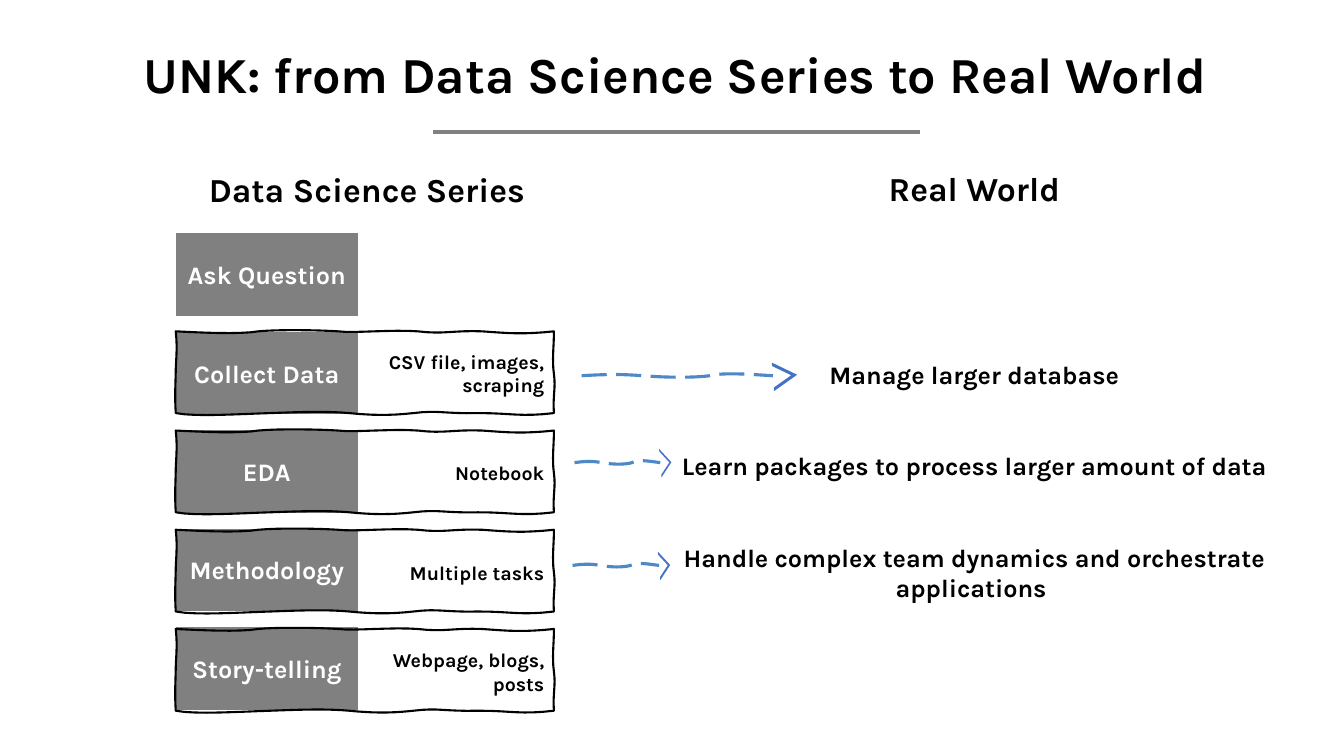
from dataclasses import dataclass

from lxml import etree
from pptx import Presentation
from pptx.dml.color import RGBColor as RGB
from pptx.enum.dml import MSO_LINE
from pptx.enum.shapes import MSO_CONNECTOR as CONN, MSO_SHAPE as SHAPE
from pptx.enum.text import MSO_ANCHOR as ANCHOR, PP_ALIGN as ALIGN
from pptx.oxml.ns import qn
from pptx.util import Cm, Pt


@dataclass(frozen=True)
class Theme:
    font: str = "Karla"
    ink: RGB = RGB(0x00, 0x00, 0x00)
    paper: RGB = RGB(0xFF, 0xFF, 0xFF)
    grey: RGB = RGB(0x80, 0x80, 0x80)
    dash: RGB = RGB(0x4E, 0x88, 0xC7)
    head: RGB = RGB(0x44, 0x72, 0xC4)
    title: int = 36
    heading: int = 24
    body: int = 18
    note: int = 14


T = Theme()


def write(tf, lines, size, align=ALIGN.CENTER, color=T.ink):
    tf.word_wrap = True
    for i, line in enumerate(lines):
        p = tf.paragraphs[0] if i == 0 else tf.add_paragraph()
        p.alignment = align
        r = p.add_run()
        r.text = line
        r.font.name, r.font.size, r.font.bold = T.font, Pt(size), True
        r.font.color.rgb = color


def add_outline(shapes, left, top, points, curved=True, closed=True):
    if curved:
        steps = 8
        smooth = [points[0]]
        for i in range(0, len(points) - 1, 3):
            a, b, c, d = points[i:i + 4]
            for n in range(1, steps + 1):
                t = n / steps
                u = 1 - t
                smooth.append(tuple(
                    u**3 * a[k] + 3 * u * u * t * b[k] + 3 * u * t * t * c[k] + t**3 * d[k]
                    for k in (0, 1)))
        points = smooth
    spots = [(Cm(left + x), Cm(top + y)) for x, y in points]
    fb = shapes.build_freeform(*spots[0])
    fb.add_line_segments(spots[1:], close=closed)
    sp = fb.convert_to_shape()
    sp.shadow.inherit = False
    return sp


prs = Presentation()
prs.slide_width, prs.slide_height = Cm(33.87), Cm(19.05)
s = prs.slides.add_slide(prs.slide_layouts[5])
shapes = s.shapes

title = shapes.title
title.left, title.top, title.width, title.height = Cm(3.23), Cm(1.12), Cm(27.89), Cm(1.8)
title.text_frame.vertical_anchor = ANCHOR.TOP
write(title.text_frame, ["UNK: from Data Science Series to Real World "], T.title)
title.text_frame.paragraphs[0].line_spacing = 0.9

rule = shapes.add_connector(CONN.STRAIGHT, Cm(10.92), Cm(3.33), Cm(23.19), Cm(3.33))
rule.line.color.rgb = T.grey
rule.line.width = Pt(3)
etree.SubElement(rule._element.spPr, qn("a:effectLst"))

series = shapes.add_textbox(Cm(1.55), Cm(4.14), Cm(15.39), Cm(1.2))
write(series.text_frame, ["Data Science Series"], T.heading)

SKETCH = [
    (0, 0), (0.61, 0.03), (1.6, 0.08), (2.08, 0), (2.57, -0.05), (3.68, -0.03),
    (4.09, 0), (4.52, 0.05), (5.44, -0.05), (6.1, 0), (6.76, 0.08), (7.01, -0.03),
    (7.72, 0), (8.43, 0.05), (8.74, 0.08), (9.53, 0),
    (9.53, 0.43), (9.48, 0.69), (9.53, 1.07), (9.58, 1.45), (9.5, 1.6), (9.53, 2.06),
    (8.69, 2.16), (8.48, 2.06), (7.62, 2.06), (6.76, 2.08), (6.63, 1.98), (5.99, 2.06),
    (5.36, 2.13), (4.9, 2.11), (4.37, 2.06), (3.86, 2.01), (3.12, 2.03), (2.39, 2.06),
    (1.65, 2.08), (0.51, 2.16), (0, 2.06),
    (-0.03, 1.6), (0, 1.24), (0, 0.99), (0, 0.76), (0.05, 0.46), (0, 0),
]

STAGES = [
    ("Ask Question", [], 0),
    ("Collect Data", ["CSV file, images,", "scraping"], 8.69),
    ("EDA", ["Notebook"], 11.48),
    ("Methodology", ["Multiple tasks"], 14.02),
    ("Story-telling", ["Webpage, blogs,", "posts"], 16.21),
]
for row, (name, notes, note_top) in enumerate(STAGES):
    stage = shapes.add_shape(SHAPE.RECTANGLE, Cm(4.39), Cm(5.84 + 2.48 * row), Cm(4.67), Cm(2.16))
    stage.shadow.inherit = False
    stage.fill.solid()
    stage.fill.fore_color.rgb = T.grey
    stage.line.color.rgb = T.paper
    stage.line.width = Pt(2.25)
    stage.text_frame.vertical_anchor = ANCHOR.MIDDLE
    write(stage.text_frame, [name], T.body, color=T.paper)
    if notes:
        frame = add_outline(shapes, 4.43, 5.85 + 2.5 * row, SKETCH)
        frame.fill.background()
        frame.line.color.rgb = T.ink
        frame.line.width = Pt(1.5)
        note = shapes.add_textbox(Cm(9.1), Cm(note_top), Cm(4.87), Cm(0.27 + 0.59 * len(notes)))
        write(note.text_frame, notes, T.note, ALIGN.RIGHT)

world = shapes.add_textbox(Cm(16.81), Cm(4.11), Cm(15.49), Cm(11.89))
write(world.text_frame, [
    "Real World",
    "Manage larger database",
    "Learn packages to process larger amount of data",
    "Handle complex team dynamics and orchestrate applications ",
], T.body)
heading, first, *others = world.text_frame.paragraphs
heading.runs[0].font.size = Pt(T.heading)
first.space_before = Pt(108)
for p in others:
    p.space_before = Pt(43.5)

WAVE = [(0, 0), (0.1, -0.03), (0.2, -0.05), (0.32, 0), (0.45, 0.05),
        (0.59, 0.05), (0.67, 0), (0.74, -0.08), (0.84, -0.05), (1, 0)]
HALF = 0.36
ARROWS = [
    (14.66, 9.47, 4.82, 0.61, 0.15),
    (14.48, 11.66, 2.16, 0.28, 0.05),
    (14.43, 14.25, 2.18, 0.28, 0.06),
]
for left, y, length, depth, stroke in ARROWS:
    shaft = add_outline(shapes, left, y, [(x * length, dy) for x, dy in WAVE], closed=False)
    shaft.fill.background()
    shaft.line.color.rgb = T.dash
    shaft.line.width = Pt(2.25)
    shaft.line.dash_style = MSO_LINE.LONG_DASH
    inner = HALF * (1 - stroke / depth)
    head = add_outline(shapes, left + length, y, [
        (0, -HALF), (depth, 0), (0, HALF), (0, inner), (depth - stroke, 0), (0, -inner),
    ], curved=False)
    head.rotation = -4.8
    head.fill.solid()
    head.fill.fore_color.rgb = T.head
    head.line.fill.background()

prs.save("out.pptx")
